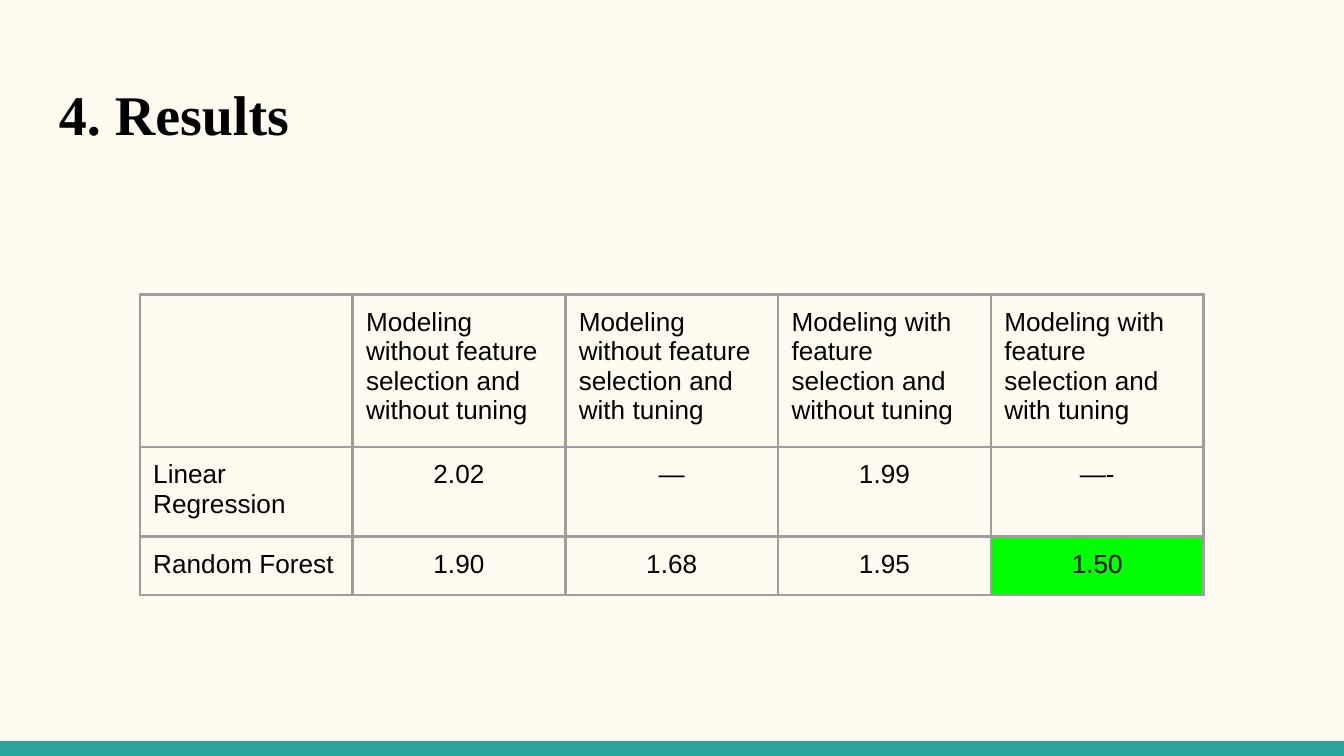
"""Build the results slide with its table of model scores."""
import lxml.etree
import pptx
import pptx.dml.color
import pptx.enum.shapes
import pptx.enum.text
import pptx.oxml.ns
import pptx.util

Inches, Pt = pptx.util.Inches, pptx.util.Pt
RGBColor = pptx.dml.color.RGBColor
Align = pptx.enum.text.PP_ALIGN
qn = pptx.oxml.ns.qn

CREAM = RGBColor(0xFF, 0xFB, 0xF0)
TEAL = RGBColor(0x26, 0xA6, 0x9A)
BLACK = RGBColor(0, 0, 0)
GREY = RGBColor(0x9E, 0x9E, 0x9E)
GREEN = RGBColor(0, 0xFF, 0)

HEADING = "4. Results"
SCORES = [
    ["",
     "Modeling without feature selection and without tuning",
     "Modeling without feature selection and with tuning",
     "Modeling with feature selection and without tuning",
     "Modeling with feature selection and with tuning"],
    ["Linear Regression", "2.02", "—", "1.99", "—-"],
    ["Random Forest", "1.90", "1.68", "1.95", "1.50"],
]
BEST = (2, 4)
WIDTH, HEIGHT = Pt(720), Pt(405)
COLUMN_WIDTH = Pt(114)
ROW_HEIGHT = Inches(0.42)
FRAME_SIDE = Inches(3.28)
BAR_HEIGHT = Inches(0.11)
MARGIN = Inches(0.34)


def write(frame, text, font="Arial", size=14, bold=False, align=Align.LEFT):
    frame.word_wrap = True
    paragraph = frame.paragraphs[0]
    paragraph.alignment = align
    run = paragraph.add_run()
    run.text = text
    run.font.name, run.font.size, run.font.bold = font, Pt(size), bold
    run.font.color.rgb = BLACK


def set_insets(holder):
    for side in ("left", "top", "right", "bottom"):
        setattr(holder, f"margin_{side}", Inches(0.1))


def draw_borders(cell):
    properties = cell._tc.get_or_add_tcPr()
    for position, side in enumerate(("lnL", "lnR", "lnT", "lnB")):
        line = lxml.etree.Element(qn(f"a:{side}"), w=str(Pt(1.5)))
        fill = lxml.etree.SubElement(line, qn("a:solidFill"))
        lxml.etree.SubElement(fill, qn("a:srgbClr"), val=str(GREY))
        properties.insert(position, line)


deck = pptx.Presentation()
deck.slide_width, deck.slide_height = WIDTH, HEIGHT
slide = deck.slides.add_slide(deck.slide_layouts[6])
slide.background.fill.solid()
slide.background.fill.fore_color.rgb = CREAM

bar = slide.shapes.add_shape(
    pptx.enum.shapes.MSO_SHAPE.RECTANGLE, 0, HEIGHT - BAR_HEIGHT, WIDTH, BAR_HEIGHT)
bar.shadow.inherit = False
bar.fill.solid()
bar.fill.fore_color.rgb = TEAL
bar.line.fill.background()

heading = slide.shapes.add_textbox(
    MARGIN, Inches(0.49), WIDTH - 2 * MARGIN, Inches(0.67)).text_frame
set_insets(heading)
write(heading, HEADING, font="Times New Roman", size=30, bold=True)

results_frame = slide.shapes.add_table(
    len(SCORES), len(SCORES[0]), Inches(1.04), Inches(2.19), FRAME_SIDE, FRAME_SIDE)
results = results_frame.table
results.first_row = results.horz_banding = False
for column in results.columns:
    column.width = COLUMN_WIDTH
for row in results.rows:
    row.height = ROW_HEIGHT
results_frame.width = results_frame.height = FRAME_SIDE

for r, entries in enumerate(SCORES):
    for c, entry in enumerate(entries):
        cell = results.cell(r, c)
        set_insets(cell)
        if (r, c) == BEST:
            cell.fill.solid()
            cell.fill.fore_color.rgb = GREEN
        else:
            cell.fill.background()
        draw_borders(cell)
        if entry:
            write(cell.text_frame, entry, align=Align.CENTER if r and c else Align.LEFT)

deck.save("out.pptx")
